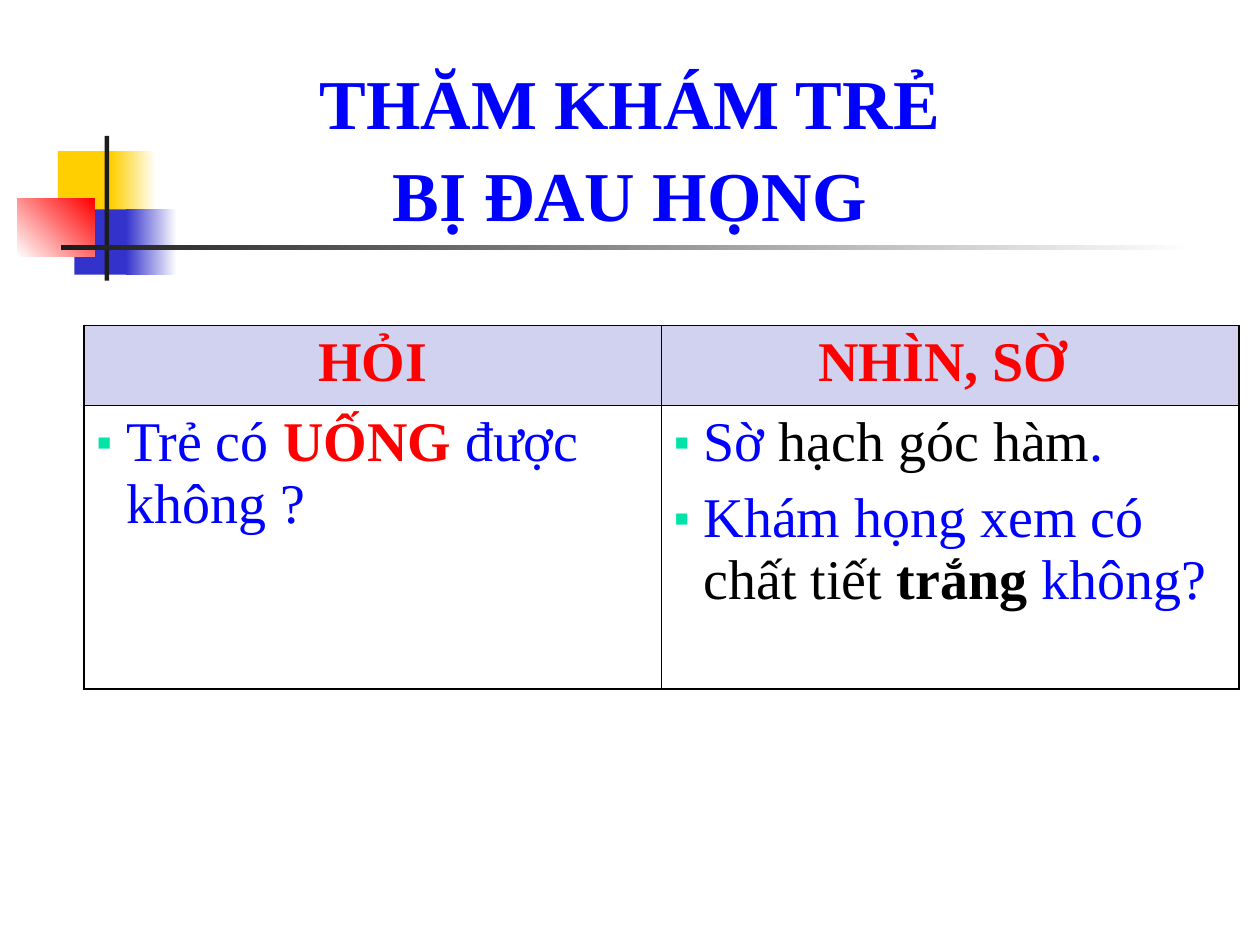
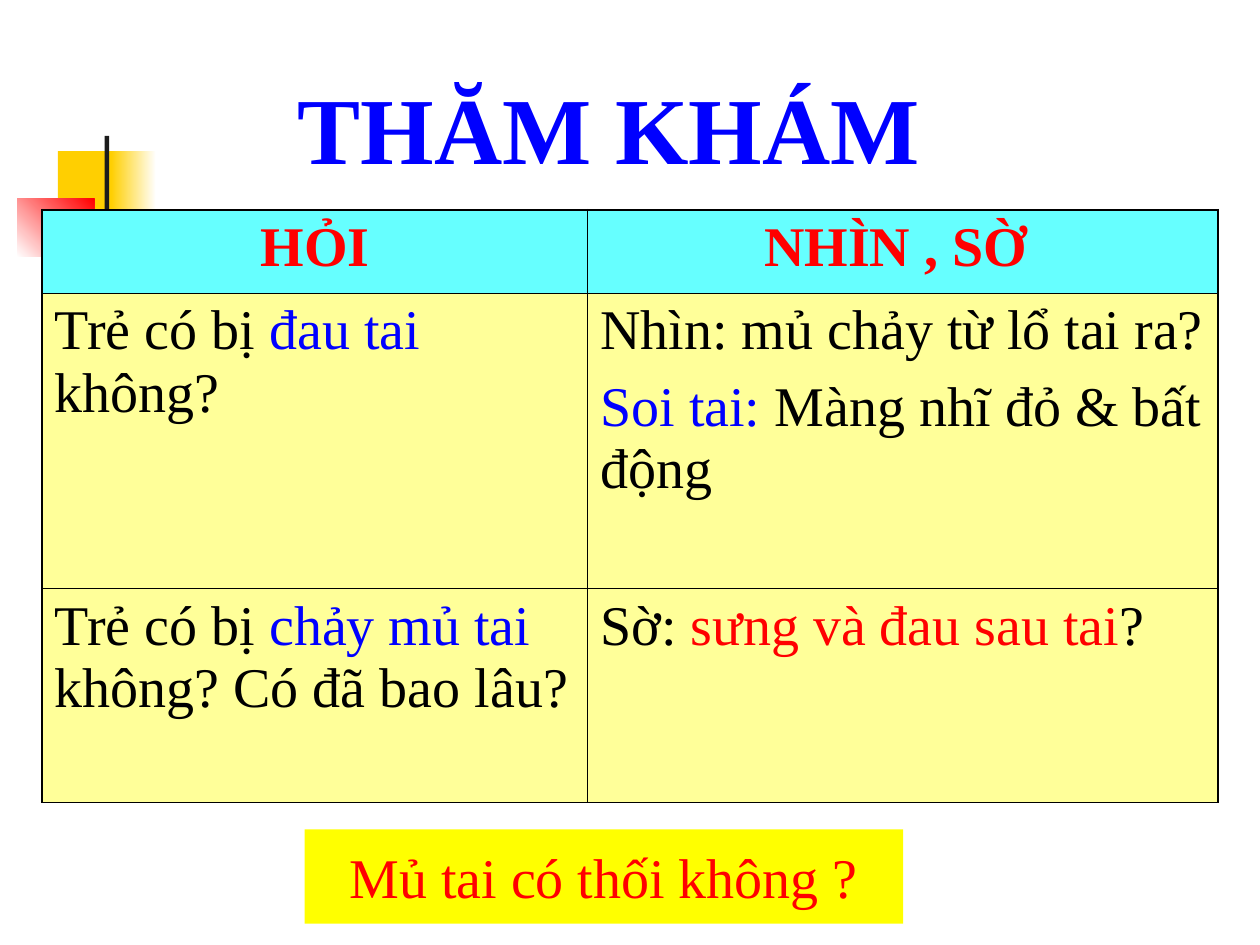
from dataclasses import dataclass, field
from typing import NamedTuple, Optional

from lxml.etree import SubElement
from pptx import Presentation
from pptx.dml.color import RGBColor as Rgb
from pptx.enum.shapes import MSO_SHAPE as Preset
from pptx.enum.text import MSO_ANCHOR as Anchor, PP_ALIGN as Align
from pptx.oxml import parse_xml
from pptx.oxml.ns import nsdecls, qn
from pptx.util import Cm, Pt


@dataclass(frozen=True)
class Theme:
    font: str = "Times New Roman"
    body_size: int = 32
    blue: str = "0000FF"
    red: str = "FF0000"
    black: str = "000000"
    white: str = "FFFFFF"
    gold: str = "FFCF01"
    indigo: str = "3333CC"
    ink: str = "1C1C1C"
    bullet: str = "00E4A8"
    lavender: str = "D1D1F0"
    cyan: str = "66FFFF"
    cream: str = "FFFF99"
    yellow: str = "FFFF00"
    outer_line: float = 1.08
    inner_line: float = 0.45


THEME = Theme()


class Area(NamedTuple):
    left: float
    top: float
    width: float
    height: float

    def lengths(self) -> list:
        return [Cm(value) for value in self]


class Span(NamedTuple):
    text: str
    color: str = THEME.black
    bold: bool = False


class Block(NamedTuple):
    area: Area
    color: str
    fade_to: Optional[str] = None
    angle: int = 0


@dataclass
class Title:
    text: str
    area: Area
    size: int


@dataclass
class Grid:
    left: float
    top: float
    columns: list
    rows: list
    header_fill: str
    body_fill: str
    headers: list
    body: list = field(default_factory=list)
    bulleted: bool = False


MOTIF = [
    Block(Area(1.17, 3.05, 1.22, 1.32), THEME.gold),
    Block(Area(2.24, 3.05, 0.91, 1.32), THEME.gold, THEME.white),
    Block(Area(1.5, 4.22, 1.17, 1.32), THEME.indigo),
    Block(Area(2.54, 4.22, 1.02, 1.32), THEME.indigo, THEME.white),
    Block(Area(0.35, 4.01, 1.55, 1.17), THEME.white, THEME.red, 45),
    Block(Area(2.11, 2.74, 0.09, 2.92), THEME.ink),
    Block(Area(1.23, 4.94, 22.86, 0.1), THEME.ink, THEME.white),
]


def apply(target, values: dict) -> None:
    for name, value in values.items():
        setattr(target, name, value)


def paint(target, color: str) -> None:
    target.fill.solid()
    target.fill.fore_color.rgb = Rgb.from_string(color)


def write(para, spans: list, size: int = THEME.body_size) -> None:
    for span in spans:
        run = para.add_run()
        run.text = span.text
        apply(run.font, {"name": THEME.font, "size": Pt(size), "bold": span.bold})
        run.font.color.rgb = Rgb.from_string(span.color)


def add_block(page, block: Block):
    shape = page.shapes.add_shape(Preset.RECTANGLE, *block.area.lengths())
    shape.shadow.inherit = False
    shape.line.fill.background()
    if block.fade_to is None:
        paint(shape, block.color)
    else:
        shape.fill.gradient()
        shape.fill.gradient_angle = block.angle
        for stop, color in zip(shape.fill.gradient_stops, (block.color, block.fade_to)):
            stop.color.rgb = Rgb.from_string(color)
    return shape


def add_title(page, title: Title) -> None:
    frame = page.shapes.add_textbox(*title.area.lengths()).text_frame
    apply(frame, {"word_wrap": True, "vertical_anchor": Anchor.BOTTOM})
    para = frame.paragraphs[0]
    apply(para, {"alignment": Align.CENTER, "line_spacing": 1.1})
    for index, line in enumerate(title.text.split("\n")):
        if index:
            para.add_line_break()
        write(para, [Span(line, THEME.blue, True)], title.size)


def add_bullet(para) -> None:
    props = para._p.get_or_add_pPr()
    apply_xml = {"marL": Cm(0.6), "indent": -Cm(0.6)}
    for name, value in apply_xml.items():
        props.set(name, str(value))
    color = SubElement(props, qn("a:buClr"))
    SubElement(color, qn("a:srgbClr"), val=THEME.bullet)
    SubElement(props, qn("a:buSzPct"), val="80000")
    SubElement(props, qn("a:buFont"), typeface=THEME.font)
    SubElement(props, qn("a:buChar"), char="▪")


def add_borders(cell, outer_sides: dict) -> None:
    props = cell._tc.get_or_add_tcPr()
    for index, (side, is_outer) in enumerate(outer_sides.items()):
        width = Pt(THEME.outer_line if is_outer else THEME.inner_line)
        props.insert(index, parse_xml(
            f'<a:ln{side} {nsdecls("a")} w="{width}"><a:solidFill>'
            f'<a:srgbClr val="{THEME.black}"/></a:solidFill></a:ln{side}>'))


def add_grid(page, grid: Grid) -> None:
    area = Area(grid.left, grid.top, sum(grid.columns), sum(grid.rows))
    row_count, column_count = len(grid.rows), len(grid.columns)
    table = page.shapes.add_table(row_count, column_count, *area.lengths()).table
    apply(table, {"first_row": False, "horz_banding": False})
    for column, width in zip(table.columns, grid.columns):
        column.width = Cm(width)
    for row, height in zip(table.rows, grid.rows):
        row.height = Cm(height)
    headers = [[[Span(text, THEME.red, True)]] for text in grid.headers]
    for r, cells in enumerate([headers, *grid.body]):
        for c, paragraphs in enumerate(cells):
            cell = table.cell(r, c)
            paint(cell, grid.body_fill if r else grid.header_fill)
            add_borders(cell, {"L": c == 0, "R": c == column_count - 1,
                               "T": r == 0, "B": r == row_count - 1})
            for index, spans in enumerate(paragraphs):
                frame = cell.text_frame
                para = frame.add_paragraph() if index else frame.paragraphs[0]
                para.alignment = Align.LEFT if r else Align.CENTER
                if index:
                    para.space_before = Pt(8)
                if r and grid.bulleted:
                    add_bullet(para)
                write(para, spans)


def add_callout(page, block: Block, span: Span) -> None:
    frame = add_block(page, block).text_frame
    apply(frame, {"word_wrap": False, "vertical_anchor": Anchor.MIDDLE})
    para = frame.paragraphs[0]
    para.alignment = Align.CENTER
    write(para, [span])


def add_page(deck, title: Title, grid: Grid):
    page = deck.slides.add_slide(deck.slide_layouts[6])
    for block in MOTIF:
        add_block(page, block)
    add_title(page, title)
    add_grid(page, grid)
    return page


THROAT_TITLE = Title("THĂM KHÁM TRẺ\nBỊ ĐAU HỌNG", Area(1.9, 1.7, 21.59, 3.18), 40)
THROAT_GRID = Grid(
    1.69, 6.56, [11.64, 11.64], [1.61, 5.72], THEME.lavender, THEME.white,
    ["HỎI", "NHÌN, SỜ "],
    [[
        [[Span("Trẻ có ", THEME.blue), Span("UỐNG", THEME.red, True),
          Span(" được không ?", THEME.blue)]],
        [[Span("Sờ ", THEME.blue), Span("hạch góc hàm"), Span(".", THEME.blue)],
         [Span("Khám họng xem có ", THEME.blue), Span("chất tiết "),
          Span("trắng ", bold=True), Span("không?", THEME.blue)]],
    ]],
    bulleted=True,
)

EAR_TITLE = Title("THĂM KHÁM", Area(1.48, 0.64, 21.59, 3.18), 54)
EAR_GRID = Grid(
    0.85, 4.23, [11, 12.7], [1.69, 5.95, 4.31], THEME.cyan, THEME.cream,
    ["HỎI", "NHÌN , SỜ "],
    [
        [
            [[Span("Trẻ có bị "), Span("đau tai ", THEME.blue), Span("không?")]],
            [[Span("Nhìn: mủ chảy từ lổ tai ra?")],
             [Span("Soi tai: ", THEME.blue), Span("Màng nhĩ đỏ & bất động")]],
        ],
        [
            [[Span("Trẻ có bị "), Span("chảy mủ tai ", THEME.blue),
              Span("không? Có đã bao lâu?")]],
            [[Span("Sờ: "), Span("sưng và đau sau tai", THEME.red), Span("?")]],
        ],
    ],
)
EAR_CALLOUT = Block(Area(6.14, 16.72, 12.07, 1.9), THEME.yellow)


def main() -> None:
    deck = Presentation()
    apply(deck, {"slide_width": Cm(25.4), "slide_height": Cm(19.05)})
    add_page(deck, THROAT_TITLE, THROAT_GRID)
    ear_page = add_page(deck, EAR_TITLE, EAR_GRID)
    add_callout(ear_page, EAR_CALLOUT, Span("Mủ tai có thối không ?", THEME.red))
    deck.save("out.pptx")


if __name__ == "__main__":
    main()
